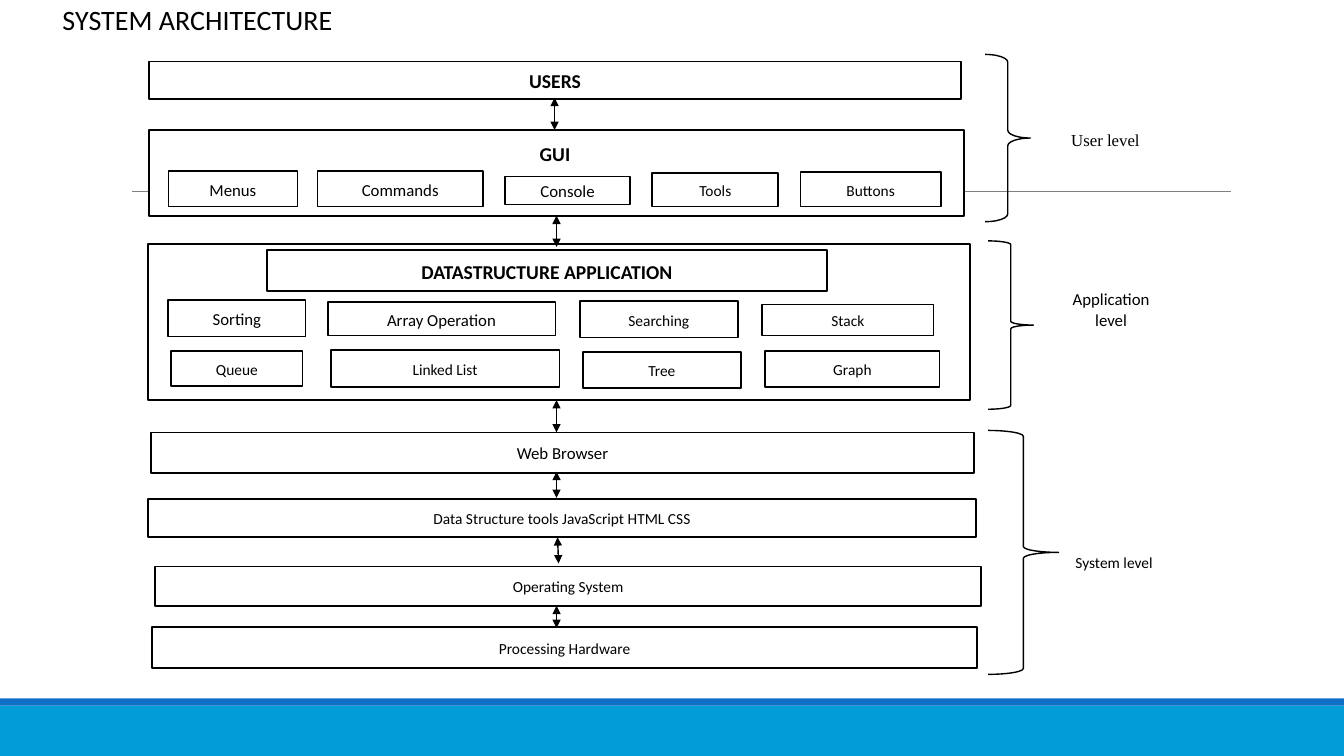
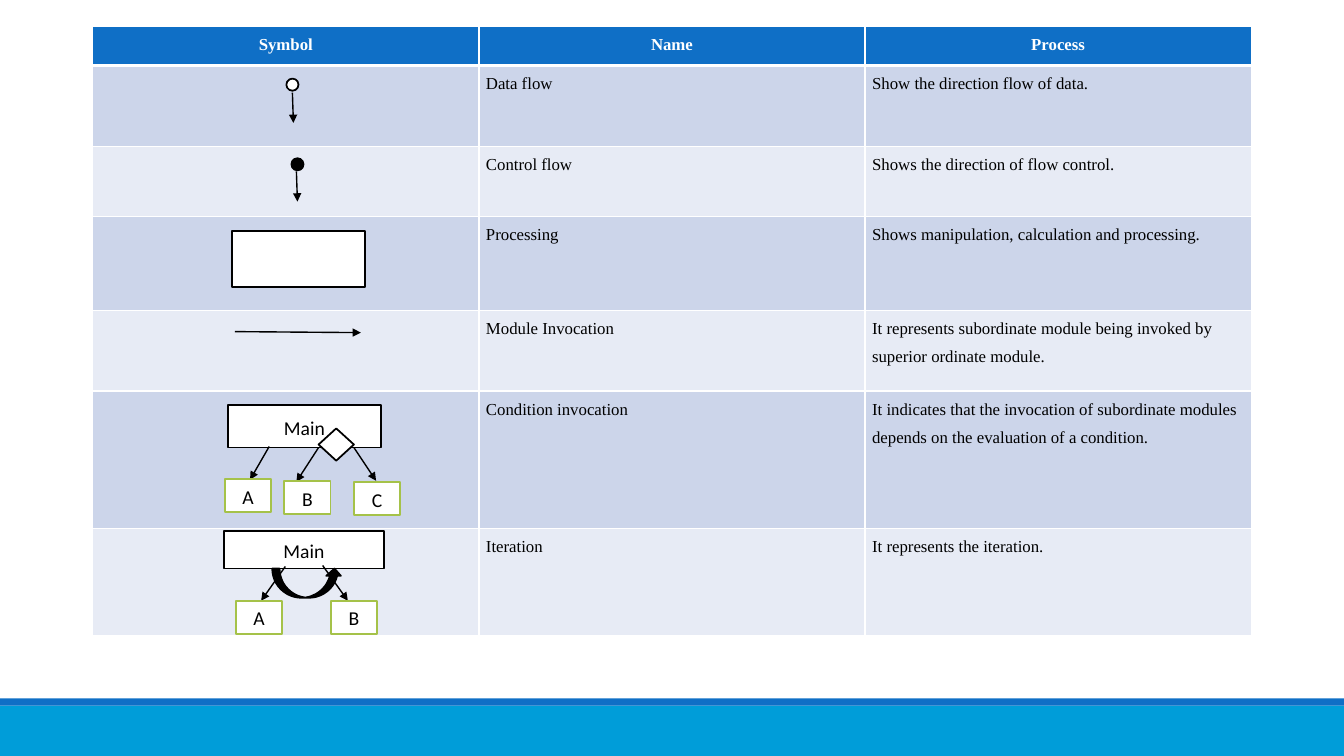
from dataclasses import dataclass
from typing import NamedTuple

from lxml.etree import SubElement as sub
from pptx import Presentation
from pptx.dml.color import RGBColor as Color
from pptx.enum.shapes import MSO_CONNECTOR as Link, MSO_SHAPE as Form
from pptx.enum.text import MSO_ANCHOR as Anchor, PP_ALIGN as Align
from pptx.oxml.ns import qn
from pptx.slide import Slide
from pptx.util import Pt


@dataclass(frozen=True)
class Theme:
    ink: str = "000000"
    paper: str = "FFFFFF"
    blue: str = "0F6FC6"
    cyan: str = "009DD9"
    lime: str = "A5C249"
    grey: str = "808080"
    tints: tuple[str, str] = ("CCD5EA", "E7EBF5")
    sans: str = "Calibri"
    serif: str = "Times New Roman"
    title: int = 20
    head: int = 14
    body: int = 12
    small: int = 11
    edge: float = 1.25
    thin: float = 1
    hair: float = 0.5


T = Theme()
PX = 9144  # EMU per px, 100 px to the inch
WIDE, HIGH = 1333, 750


class Box(NamedTuple):
    x: int
    y: int
    w: int
    h: int
    text: str = ""
    size: int = T.small
    bold: bool = False
    edge: str | None = T.ink
    fill: str | None = T.paper
    form: Form = Form.RECTANGLE
    font: str = T.sans


class Line(NamedTuple):
    x1: int
    y1: int
    x2: int
    y2: int


class Brace(NamedTuple):
    x: int
    y: int
    w: int
    h: int
    curl: float = 0.083


# Slide 1: layers, parts and levels
LAYERS = [
    Box(148, 61, 805, 37, "USERS", T.head, True),
    Box(148, 129, 808, 85),
    Box(498, 133, 105, 38, "GUI", T.head, True, T.paper),
    Box(147, 242, 815, 155),
    Box(265, 248, 555, 41, "DATASTRUCTURE APPLICATION", T.head, True),
    Box(150, 429, 816, 40, "Web Browser", T.body),
    Box(147, 495, 821, 38, "Data Structure tools JavaScript HTML CSS"),
    Box(154, 562, 819, 39, "Operating System"),
    Box(151, 622, 818, 41, "Processing Hardware"),
]
PARTS = [
    Box(167, 170, 128, 35, "Menus", T.body),
    Box(315, 170, 164, 35, "Commands", T.body),
    Box(501, 175, 124, 28, "Console", T.body),
    Box(647, 172, 125, 33, "Tools"),
    Box(794, 171, 139, 34, "Buttons"),
    Box(167, 298, 136, 36, "Sorting", T.body),
    Box(325, 300, 226, 33, "Array Operation", T.body),
    Box(575, 299, 157, 36, "Searching"),
    Box(756, 302, 170, 31, "Stack"),
    Box(170, 348, 130, 35, "Queue"),
    Box(328, 347, 227, 37, "Linked List"),
    Box(578, 349, 157, 36, "Tree"),
    Box(759, 348, 173, 36, "Graph"),
]
LEVELS = [
    Box(1038, 89, 117, 97, "User level", T.body, edge=None, font=T.serif),
    Box(1041, 222, 122, 168, "Application level", T.body, edge=None),
    Box(1050, 492, 110, 131, "System level", edge=None),
]
BRACES = [
    Brace(977, 54, 45, 166, 0.171),
    Brace(980, 239, 45, 167),
    Brace(980, 427, 70, 242),
]
FLOWS = [
    Line(550, 97, 550, 129),
    Line(552, 214, 552, 245),
    Line(552, 397, 552, 429),
    Line(552, 468, 552, 494),
    Line(553, 533, 554, 559),
    Line(552, 601, 552, 623),
]

# Slide 2: table and symbols
HEADS = ("Symbol", "Name", "Process")
ROWS = [
    ("", "Data flow", "Show the direction flow of data."),
    ("", "Control flow", "Shows the direction of flow control."),
    ("", "Processing", "Shows manipulation, calculation and processing."),
    ("", "Module Invocation",
     "It represents subordinate module being invoked by superior ordinate module."),
    ("", "Condition invocation",
     "It indicates that the invocation of subordinate modules depends on the "
     "evaluation of a condition."),
    ("", "Iteration", "It represents the iteration."),
]
TALL = (39, 80, 70, 93, 80, 136, 107)
COL = 383


def leaf(x: int, y: int, text: str) -> Box:
    return Box(x, y, 46, 33, text, T.head, edge=T.lime)


SIGNS = [
    Box(284, 78, 12, 12, form=Form.OVAL),
    Box(289, 157, 12, 12, fill=T.ink, form=Form.OVAL),
    Box(230, 229, 132, 56),
    Box(226, 402, 152, 42, "Main", T.head),
    Box(316, 425, 35, 32, form=Form.FLOWCHART_DECISION),
    Box(222, 527, 159, 37, "Main", T.head),
    Box(270, 564, 69, 29, fill=T.ink, form=Form.CURVED_UP_ARROW),
]
ARROWS = [
    Line(290, 92, 291, 122),
    Line(294, 170, 295, 200),
    Line(233, 329, 358, 330),
    Line(316, 444, 294, 478),
    Line(267, 443, 248, 476),
    Line(351, 444, 373, 477),
    Line(320, 561, 345, 596),
    Line(283, 562, 259, 596),
]
LEAVES = [
    leaf(223, 475, "A"), leaf(282, 477, "B"), leaf(351, 478, "C"),
    leaf(234, 596, "A"), leaf(328, 596, "B"),
]


def px(*nums: int) -> list[int]:
    return [n * PX for n in nums]


def hue(code: str) -> Color:
    return Color.from_string(code)


def style(para, size: int, code: str, font: str, bold: bool = False) -> None:
    for run in para.runs:
        run.font.size, run.font.name, run.font.bold = Pt(size), font, bold
        run.font.color.rgb = hue(code)


def draw_box(page: Slide, box: Box):
    shape = page.shapes.add_shape(box.form, *px(box.x, box.y, box.w, box.h))
    shape.shadow.inherit = False
    if box.fill:
        shape.fill.solid()
        shape.fill.fore_color.rgb = hue(box.fill)
    else:
        shape.fill.background()
    if box.edge:
        shape.line.color.rgb = hue(box.edge)
        shape.line.width = Pt(T.edge)
    else:
        shape.line.fill.background()
    if box.text:
        frame = shape.text_frame
        frame.text = box.text
        frame.word_wrap = True
        frame.vertical_anchor = Anchor.MIDDLE
        para = frame.paragraphs[0]
        para.alignment, para.line_spacing = Align.CENTER, 1.07
        style(para, box.size, T.ink, box.font, box.bold)
    return shape


def draw_line(page: Slide, line: Line, ends: tuple[str, ...] = (),
              code: str = T.ink, width: float = T.thin) -> None:
    link = page.shapes.add_connector(Link.STRAIGHT, *px(*line))
    link.line.color.rgb = hue(code)
    link.line.width = Pt(width)
    for end in ends:
        sub(link.line._get_or_add_ln(), qn(f"a:{end}"), type="triangle")
    sub(link._element.spPr, qn("a:effectLst"))


def draw_brace(page: Slide, brace: Brace) -> None:
    shape = draw_box(page, Box(*brace[:4], fill=None, form=Form.RIGHT_BRACE))
    shape.line.width = Pt(T.thin)
    shape.adjustments[0] = brace.curl


def draw_title(page: Slide, text: str) -> None:
    frame = page.shapes.add_textbox(*px(62, 1, 900, 45)).text_frame
    frame.word_wrap = True
    frame.margin_left = frame.margin_right = 0
    frame.text = text
    frame.paragraphs[0].line_spacing = 0.9
    style(frame.paragraphs[0], T.title, T.ink, T.sans)


def draw_cell(cell, text: str, row: int) -> None:
    head = row == 0
    cell.margin_left = cell.margin_right = 7 * PX
    cell.margin_top = cell.margin_bottom = 0
    cell.text = text
    para = cell.text_frame.paragraphs[0]
    para.line_spacing, para.space_after = 1.5, Pt(8)
    para.alignment = Align.CENTER if head else Align.LEFT
    style(para, T.body, T.paper if head else T.ink, T.serif, head)
    # Borders come before the fill in the cell properties
    props = cell._tc.get_or_add_tcPr()
    for side in "LRTB":
        thick = (head and side == "B") or (row == 1 and side == "T")
        edge = sub(props, qn(f"a:ln{side}"), w=str(Pt(3 if thick else 1)))
        sub(sub(edge, qn("a:solidFill")), qn("a:srgbClr"), val=T.paper)
    cell.fill.solid()
    cell.fill.fore_color.rgb = hue(T.blue if head else T.tints[(row - 1) % 2])


def draw_table(page: Slide) -> None:
    data = [HEADS, *ROWS]
    place = px(92, 26, COL * len(HEADS), sum(TALL))
    table = page.shapes.add_table(len(data), len(HEADS), *place).table
    for col in table.columns:
        col.width = COL * PX
    for row, (texts, tall) in enumerate(zip(data, TALL)):
        table.rows[row].height = tall * PX
        for col, text in enumerate(texts):
            draw_cell(table.cell(row, col), text, row)


def new_page(deck) -> Slide:
    page = deck.slides.add_slide(deck.slide_layouts[6])
    # Footer bands
    draw_box(page, Box(0, 700, WIDE, 50, edge=None, fill=T.cyan))
    draw_box(page, Box(0, 693, WIDE, 7, edge=None, fill=T.blue))
    return page


def main() -> None:
    deck = Presentation()
    deck.slide_width, deck.slide_height = px(WIDE, HIGH)

    # System layers
    page = new_page(deck)
    draw_line(page, Line(131, 190, 1221, 190), code=T.grey, width=T.hair)
    draw_title(page, "SYSTEM ARCHITECTURE")
    for box in LAYERS + PARTS + LEVELS:
        draw_box(page, box)
    for brace in BRACES:
        draw_brace(page, brace)
    for line in FLOWS:
        draw_line(page, line, ("headEnd", "tailEnd"))

    # Chart symbols
    page = new_page(deck)
    draw_table(page)
    for box in SIGNS:
        draw_box(page, box)
    for line in ARROWS:
        draw_line(page, line, ("tailEnd",))
    for box in LEAVES:
        draw_box(page, box)

    deck.save("out.pptx")


if __name__ == "__main__":
    main()
